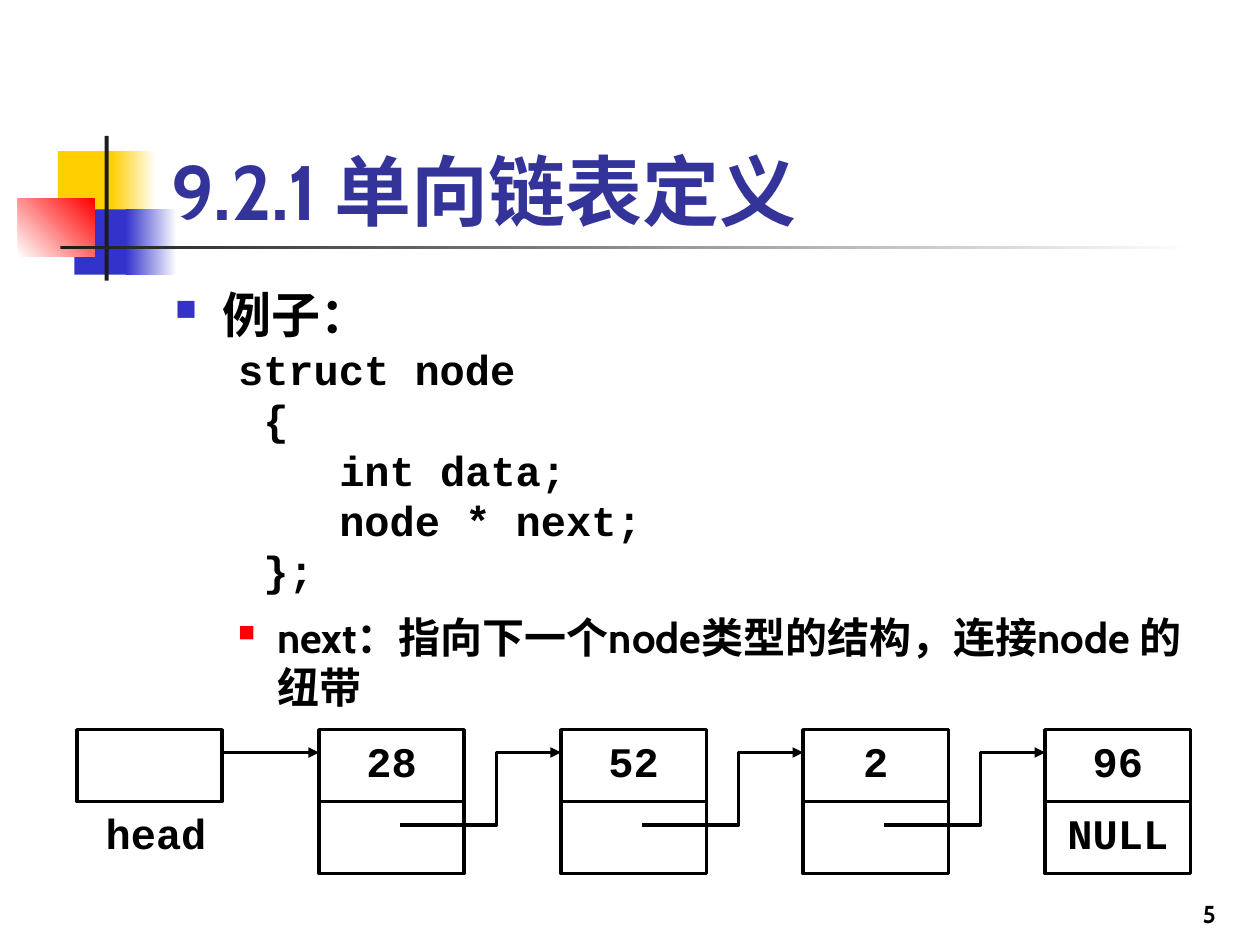
from pptx import Presentation
from pptx.dml.color import RGBColor
from pptx.enum.shapes import MSO_CONNECTOR, MSO_SHAPE
from pptx.enum.text import MSO_ANCHOR, PP_ALIGN
from pptx.oxml.ns import qn
from pptx.util import Cm, Pt
from lxml.etree import SubElement


def rgb(code):
    return RGBColor.from_string(code)


class Deck:
    sans = "Cabin"
    mono = "Courier New"
    ink = "000000"
    paper = "FFFFFF"
    stroke = Pt(2)

    def __init__(self, width, height):
        self.presentation = Presentation()
        self.presentation.slide_width = Cm(width)
        self.presentation.slide_height = Cm(height)
        self.slide = None

    def add_slide(self):
        blank = self.presentation.slide_layouts[6]
        self.slide = self.presentation.slides.add_slide(blank)

    def rectangle(self, box, *colors, angle=0, outlined=False):
        shape = self.slide.shapes.add_shape(MSO_SHAPE.RECTANGLE, *map(Cm, box))
        shape.shadow.inherit = False
        if len(colors) > 1:
            shape.fill.gradient()
            shape.fill.gradient_angle = angle
            for stop, color, position in zip(shape.fill.gradient_stops, colors, (0, 1)):
                stop.color.rgb = rgb(color)
                stop.position = position
        else:
            shape.fill.solid()
            shape.fill.fore_color.rgb = rgb(colors[0])
        if outlined:
            shape.line.color.rgb = rgb(self.ink)
            shape.line.width = self.stroke
        else:
            shape.line.fill.background()
        return shape

    def cell(self, box, text="", outlined=True, align=PP_ALIGN.CENTER):
        shape = self.rectangle(box, self.paper, outlined=outlined)
        if text:
            frame = shape.text_frame
            frame.vertical_anchor = MSO_ANCHOR.TOP
            frame.paragraphs[0].alignment = align
            self.run(frame.paragraphs[0], text, 24, self.mono)

    def text_box(self, box, anchor=MSO_ANCHOR.TOP):
        frame = self.slide.shapes.add_textbox(*map(Cm, box)).text_frame
        frame.word_wrap = True
        frame.vertical_anchor = anchor
        return frame

    def run(self, paragraph, text, size, font, color=ink):
        run = paragraph.add_run()
        run.text = text
        run.font.size = Pt(size)
        run.font.bold = True
        run.font.name = font
        run.font.color.rgb = rgb(color)
        SubElement(run.font._element, qn("a:ea"), typeface=font)

    def indent(self, paragraph, margin, first=0):
        properties = paragraph._p.get_or_add_pPr()
        properties.set("marL", str(Cm(margin)))
        properties.set("indent", str(Cm(first)))
        return properties

    def bullet(self, paragraph, margin, first, color, percent):
        properties = self.indent(paragraph, margin, first)
        tint = SubElement(properties, qn("a:buClr"))
        SubElement(tint, qn("a:srgbClr"), val=color)
        SubElement(properties, qn("a:buSzPct"), val=str(percent * 1000))
        SubElement(properties, qn("a:buChar"), char="■")

    def arrow_style(self, shape):
        shape.line.color.rgb = rgb(self.ink)
        shape.line.width = self.stroke
        SubElement(shape.line._get_or_add_ln(), qn("a:tailEnd"), type="triangle")

    def straight_arrow(self, start, end):
        connector = self.slide.shapes.add_connector(
            MSO_CONNECTOR.STRAIGHT, *map(Cm, start + end))
        self.arrow_style(connector)
        SubElement(connector._element.spPr, qn("a:effectLst"))

    def bent_arrow(self, start, *corners):
        builder = self.slide.shapes.build_freeform(*map(Cm, start))
        builder.add_line_segments([tuple(map(Cm, corner)) for corner in corners], close=False)
        outline = builder.convert_to_shape()
        outline.fill.background()
        self.arrow_style(outline)
        outline.shadow.inherit = False


def add_ornament(deck):
    deck.rectangle((1.17, 3.05, 1.22, 1.32), "FFCF01")
    deck.rectangle((2.24, 3.05, 0.91, 1.32), "FFCF01", deck.paper)
    deck.rectangle((1.5, 4.22, 1.17, 1.32), "3333CC")
    deck.rectangle((2.54, 4.22, 1.02, 1.32), "3333CC", deck.paper)
    deck.rectangle((0.36, 4.01, 1.55, 1.17), deck.paper, "FF0000", angle=45)
    deck.rectangle((2.11, 2.74, 0.08, 2.92), "1C1C1C")
    deck.rectangle((1.22, 4.95, 22.86, 0.08), "1C1C1C", deck.paper)


def add_texts(deck):
    page = deck.text_box((19.48, 17.58, 5.28, 1.27), MSO_ANCHOR.BOTTOM).paragraphs[0]
    page.alignment = PP_ALIGN.RIGHT
    deck.run(page, "5", 14, deck.sans)

    title = deck.text_box((3.2, 1.7, 21.64, 3.18), MSO_ANCHOR.BOTTOM).paragraphs[0]
    deck.run(title, "9.2.1 ", 44, deck.sans, "333399")
    deck.run(title, "单向链表定义", 44, deck.mono, "333399")

    body = deck.text_box((3.28, 5.61, 21.59, 8.99))
    example = body.paragraphs[0]
    example.space_before = Pt(7)
    deck.bullet(example, 0.95, -0.95, "3333CC", 60)
    deck.run(example, "例子：", 28, deck.sans)

    code_left, character = 1.27, 0.51
    code = [(0, "struct node"), (1, "{"), (4, "int data;"), (4, "node * next;"), (1, "};")]
    for depth, statement in code:
        line = body.add_paragraph()
        line.line_spacing = Pt(28.8)
        deck.indent(line, code_left + depth * character)
        deck.run(line, statement, 24, deck.mono)

    remark = body.add_paragraph()
    remark.space_before = remark.space_after = Pt(9)
    deck.bullet(remark, 2.06, -0.79, "FF0000", 55)
    deck.run(remark, "next：指向下一个node类型的结构，连接node 的纽带", 24, deck.sans)


def add_linked_list(deck):
    first_left, pitch, top = 6.43, 4.88, 14.71
    width, height = 2.93, 1.45
    pointer_top = top + height
    arrow_y, pointer_y = 15.17, 16.63
    head_left = first_left - pitch

    deck.cell((head_left + 0.33, pointer_top, 2.59, height), "head",
              outlined=False, align=PP_ALIGN.JUSTIFY)
    deck.cell((head_left, top, width, height))

    nodes = [("28", ""), ("52", ""), ("2", ""), ("96", "NULL")]
    for index, (data, pointer) in enumerate(nodes):
        left = first_left + index * pitch
        deck.cell((left, top, width, height), data)
        deck.cell((left, pointer_top, width, height), pointer)
        if not pointer:
            bend = left + 3.58
            deck.bent_arrow((left + 1.63, pointer_y), (bend, pointer_y),
                            (bend, arrow_y), (left + pitch, arrow_y))
    deck.straight_arrow((head_left + width, arrow_y), (first_left, arrow_y))


def main():
    deck = Deck(25.4, 19.05)
    deck.add_slide()
    add_ornament(deck)
    add_texts(deck)
    add_linked_list(deck)
    deck.presentation.save("out.pptx")


if __name__ == "__main__":
    main()
